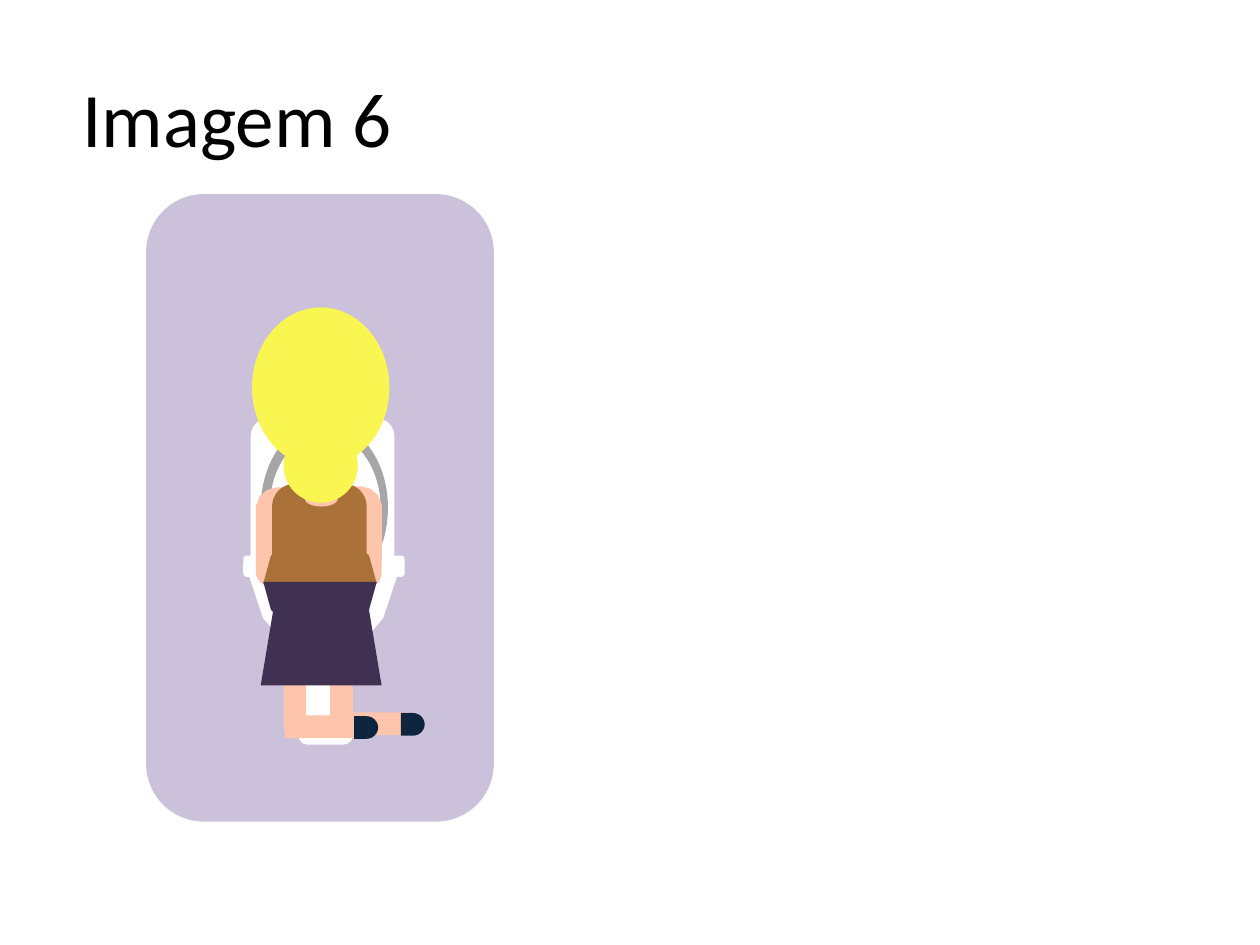
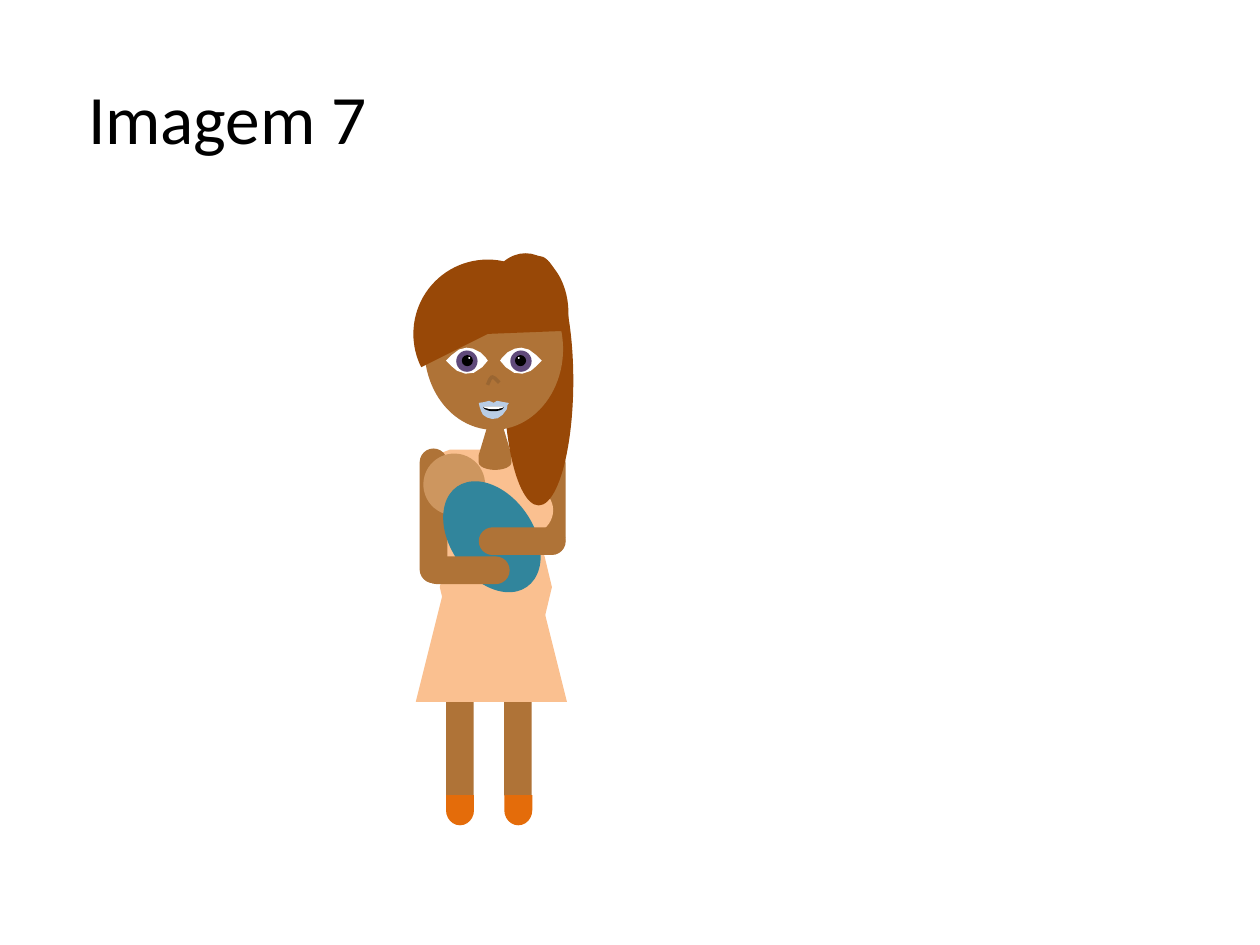
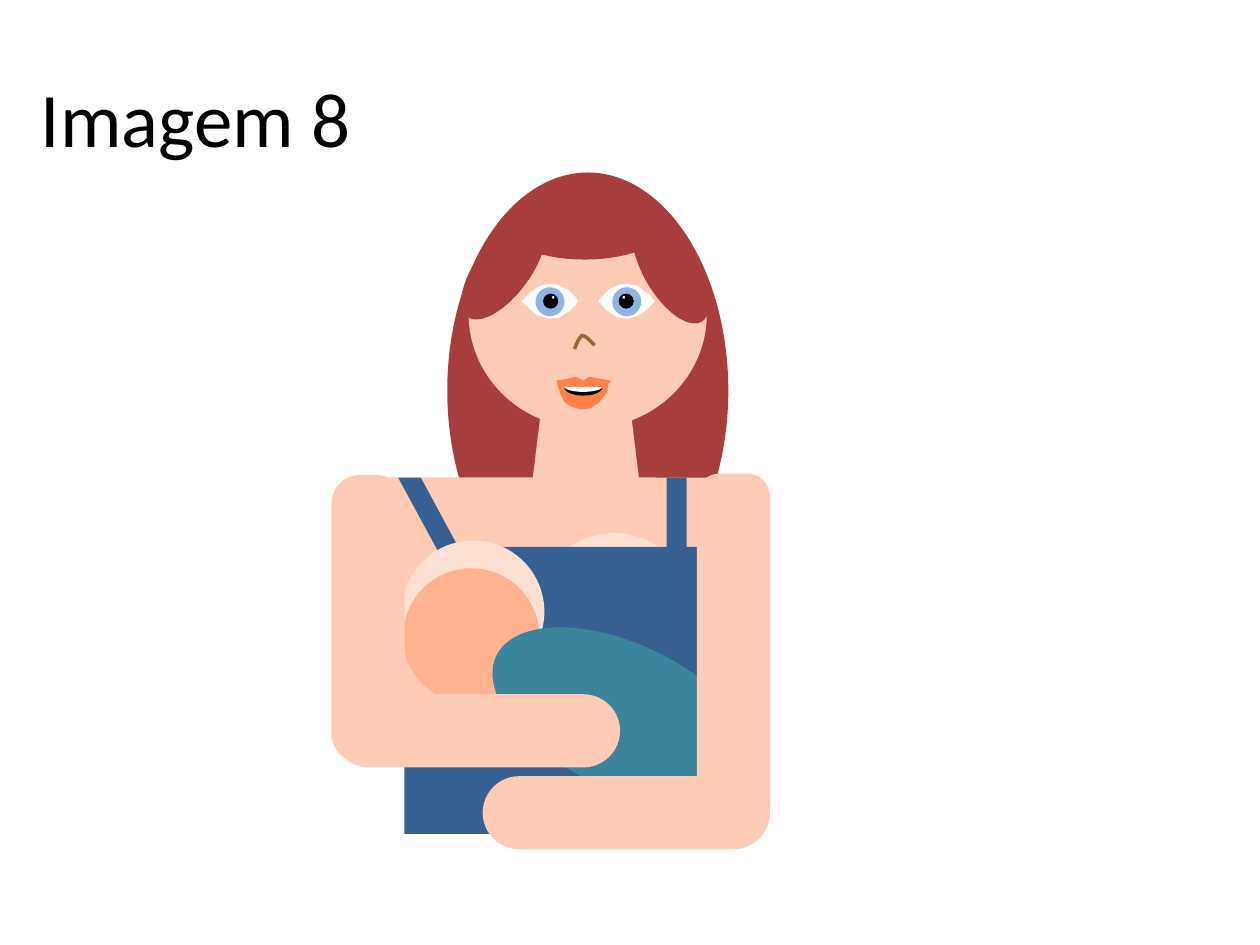
import math
from pptx import Presentation
from pptx.dml.color import RGBColor
from pptx.enum import shapes, text
from pptx.util import Pt

KIND = shapes.MSO_SHAPE
FONT = "Calibri"
HEX = {
    "black": "000000", "white": "FFFFFF", "lilac": "CCC1DA", "gray": "A6A6A6",
    "pink": "FEC5AC", "plum": "403152", "tan": "AA7138", "blond": "F9F551",
    "navy": "0F243E", "peach": "FAC090", "brown": "AF7337", "auburn": "984807",
    "violet": "604A7B", "nose": "9A6632", "pale": "B9CDE5", "blue": "376092",
    "orange": "E46C0A", "clay": "CD965F", "teal": "31859C", "red": "A73E3B",
    "rose": "FECBB4", "cream": "FEE0D2", "coral": "FEB290", "sea": "3B859C",
    "sky": "8EB4E3", "lips": "FD8149",
}

# Outlines as corners on a small grid
EYE = [(0, 14), (6, 8), (14, 2), (22, 0), (29, 1), (37, 5), (43, 11), (45, 14),
       (39, 21), (30, 27), (21, 28), (12, 25), (6, 20)]
EYE_W = 45
MOUTH = [(0, 3), (7, 2), (15, 0), (21, 3), (26, 0), (31, 1), (36, 2), (42, 3),
         (43, 3.5), (41, 6), (40, 12), (34, 20), (27, 25), (19, 26), (12, 24),
         (6, 20), (3, 14), (1, 8)]
NOSE = [(0, 11), (3, 4), (6, 0), (10, 2), (16, 8)]
ARM = [(0, 0), (8, 0), (15, 2), (21, 7), (24, 15), (24, 60), (0, 60)]
ARM_W = 24
TORSO = [(23, 0), (89, 0), (105, 6), (112, 22), (112, 73), (75, 73), (75, 96),
         (0, 96), (0, 22), (7, 6)]
STRAP = [(0, 0), (13, 0), (38.2, 46.8), (28.1, 51.8)]


class Artist:
    def __init__(self):
        self.deck = Presentation()
        self.deck.slide_width, self.deck.slide_height = Pt(720), Pt(540)
        self.pen = None

    def color(self, name):
        return RGBColor.from_string(HEX[name])

    def start(self, title, x, w, size):
        slide = self.deck.slides.add_slide(self.deck.slide_layouts[5])
        head = slide.shapes.title
        head.left, head.top, head.width, head.height = Pt(x), Pt(21.6), Pt(w), Pt(90)
        frame = head.text_frame
        frame.text = title
        frame.auto_size = text.MSO_AUTO_SIZE.NONE
        frame.vertical_anchor = text.MSO_ANCHOR.MIDDLE
        para = frame.paragraphs[0]
        para.alignment = text.PP_ALIGN.CENTER
        para.font.name, para.font.size = FONT, Pt(size)
        para.font.color.rgb = self.color("black")
        self.pen = slide.shapes.add_group_shape().shapes

    def paint(self, item, color):
        item.shadow.inherit = False
        item.fill.solid()
        item.fill.fore_color.rgb = self.color(color)
        item.line.fill.background()

    # Preset shapes
    def shape(self, kind, color, x, y, w, h, rot=0, adj=()):
        item = self.pen.add_shape(kind, Pt(x), Pt(y), Pt(w), Pt(h))
        item.rotation = rot
        for i, val in enumerate(adj):
            item.adjustments[i] = val
        self.paint(item, color)

    def oval(self, color, x, y, w, h, rot=0):
        self.shape(KIND.OVAL, color, x, y, w, h, rot)

    def rect(self, color, x, y, w, h, rot=0):
        self.shape(KIND.RECTANGLE, color, x, y, w, h, rot)

    def round(self, color, x, y, w, h, adj=0.5, rot=0):
        self.shape(KIND.ROUNDED_RECTANGLE, color, x, y, w, h, rot, [adj])

    def trap(self, color, x, y, w, h, adj):
        self.shape(KIND.TRAPEZOID, color, x, y, w, h, adj=[adj])

    def stub(self, color, x, y, w, h, rot=0):
        self.shape(KIND.FLOWCHART_DELAY, color, x, y, w, h, rot)

    def pie(self, color, x, y, w, h, rot=0, first=0, last=180):
        # Angles in degrees; the stored unit is 0.6 to the degree
        self.shape(KIND.PIE, color, x, y, w, h, rot, [first * 0.6, last * 0.6])

    # Free outlines
    def trace(self, pts, close=True):
        pts = [(Pt(x), Pt(y)) for x, y in pts]
        form = self.pen.build_freeform(*pts[0])
        form.add_line_segments(pts[1:], close=close)
        return form.convert_to_shape()

    def draw(self, color, marks, x, y, k, flip=0):
        """Fill an outline scaled by k; flip is the width to mirror in."""
        pts = [(x + k * (flip - a if flip else a), y + k * b) for a, b in marks]
        self.paint(self.trace(pts), color)

    def dome(self, color, x, y, w, h, down=False, cut=0):
        """Half an oval, with its flat side trimmed by cut degrees."""
        pts = []
        base = math.radians(cut)
        sides = 6
        for i in range(sides + 1):
            turn = base + (math.pi - 2 * base) * i / sides
            rise = (math.sin(turn) - math.sin(base)) / (1 - math.sin(base))
            pts.append((x + w / 2 * (1 + math.cos(turn) / math.cos(base)),
                        y + h * (rise if down else 1 - rise)))
        self.paint(self.trace(pts), color)

    # Face parts
    def eyes(self, left, right, y, k, iris):
        for x, flip in ((left, 0), (right, EYE_W)):
            self.draw("white", EYE, x, y, k, flip)
            for color, a, b, d in ((iris, 11, 3, 23), ("black", 17, 8, 12), ("white", 24, 10, 2)):
                a = flip - a - d if flip else a
                self.oval(color, x + k * a, y + k * b, k * d, k * d)

    def nose(self, x, y, k):
        item = self.trace([(x + k * a, y + k * b) for a, b in NOSE], close=False)
        item.shadow.inherit = False
        item.fill.background()
        item.line.color.rgb = self.color("nose")
        item.line.width = Pt(2)

    def mouth(self, x, y, k, lips):
        self.draw(lips, MOUTH, x, y, k)
        for color, b, h in (("black", 2, 13), ("white", 4, 8)):
            self.pie(color, x + 6 * k, y + b * k, 30 * k, h * k)


def kneeling(art):
    art.start("Imagem 6", 36, 199.4, 44)
    # Panel and toilet
    art.round("lilac", 83.5, 110.9, 198.7, 358.6, 0.167)
    art.round("white", 143.3, 239, 82.1, 101.5, 0.123)
    art.round("white", 170.6, 335.5, 31, 90, 0.167)
    art.oval("gray", 149, 241.2, 72.7, 97.9)
    art.oval("white", 154.1, 247.7, 63.4, 85.7)
    art.dome("white", 141.8, 327.6, 85.7, 49.7, down=True, cut=13)
    art.round("white", 139, 317.5, 92.2, 12.2, 0.167)
    # Hands, thighs and arms
    art.stub("pink", 202.3, 319.7, 15.8, 15.8, 90)
    art.stub("pink", 146.2, 319, 15.8, 15.8, 90)
    for x in (188.6, 162):
        art.rect("pink", x, 362.2, 13, 54.7)
    art.draw("pink", ARM, 200.9, 277.9, 0.72)
    art.draw("pink", ARM, 146.2, 278.6, 0.72, ARM_W)
    # Clothes and head
    art.trap("plum", 149, 323.3, 69.1, 68.4, 0.167)
    art.shape(KIND.ROUND_2_SAME_RECTANGLE, "tan", 155.5, 276.5, 54, 72.7, adj=[0.237, 0])
    art.trap("pink", 174.2, 256.3, 18.7, 24.5, 0.406)
    art.oval("blond", 144, 175.7, 78.5, 91.4)
    art.stub("pink", 179.3, 275.8, 8.6, 18.7, 90)
    art.dome("tan", 150.5, 301.7, 64.8, 31.7)
    art.dome("plum", 150.5, 332.6, 64.8, 31.7, down=True)
    # Calves with shoes, then the bun
    for x, y in ((205.2, 391.2), (178.6, 393)):
        art.rect("pink", x, y, 13, 44.6, 270)
        art.stub("navy", x + 23.8, y + 16.2, 13.7, 13)
    art.oval("blond", 162, 244.8, 42.5, 42.5)


def standing(art):
    art.start("Imagem 7", 36, 187.9, 39.6)
    # Body and back hair
    art.draw("peach", TORSO, 240.5, 257, 0.72)
    art.round("brown", 307.4, 256.3, 15.8, 59)
    art.oval("auburn", 275.8, 144.7, 49, 68.4)
    art.oval("peach", 280.8, 276.5, 35.3, 30.2)
    for x in (288, 254.9):
        art.rect("brown", x, 363.6, 15.8, 91)
    art.trap("peach", 237.6, 315.4, 86.4, 85.7, 0.25)
    art.trap("brown", 273.6, 234.7, 18.7, 25.2, 0.406)
    art.stub("brown", 278.6, 254.9, 8.6, 18.7, 90)
    # Head
    art.oval("auburn", 288, 146.2, 39.6, 142.6)
    art.oval("brown", 242.6, 153.4, 79.2, 92.2)
    art.pie("auburn", 236.2, 148.3, 85, 85, 90, 63.42, 267.75)
    art.eyes(254.9, 285.8, 198.7, 0.53, "violet")
    art.nose(278.6, 215.3, 0.42)
    art.mouth(273.6, 229, 0.4, "pale")
    # Hips and shoes
    art.dome("peach", 251.3, 299.5, 64.1, 36)
    art.dome("peach", 251.3, 335.5, 64.1, 36, down=True)
    art.oval("blue", 244.8, 275.8, 35.3, 30.2)
    for x in (254.2, 287.5):
        art.stub("orange", x, 455, 17.3, 16, 90)
    # Baby between the arms
    art.round("brown", 239.8, 256.3, 15.8, 77)
    art.oval("clay", 241.9, 259.2, 35.3, 35.3, 55.2)
    art.oval("teal", 246.2, 283, 69.8, 47.5, 55.2)
    art.round("brown", 258.5, 301, 15.8, 49.7, rot=270)
    art.round("brown", 290.5, 284.4, 15.8, 49.7, rot=90)


def nursing(art):
    art.start("Imagem 8", 12.2, 199.4, 44)
    # Back hair, neck and chest
    art.oval("red", 255.6, 98.6, 160.6, 249.1)
    art.trap("rose", 298.8, 223.2, 72, 95.8, 0.164)
    art.round("rose", 210.2, 272.9, 217.4, 154.1, 0.084)
    art.draw("blue", STRAP, 227.5, 272.9, 1)
    art.rect("blue", 231.1, 436.3, 183.6, 40.3)
    # Face and fringe
    art.oval("rose", 267.8, 114.5, 136.1, 130.3)
    art.oval("red", 287.3, 108.7, 93.6, 39.6)
    art.oval("red", 272.2, 118.8, 31, 69.1, 36.6)
    # Dress and baby
    art.rect("blue", 380.9, 272.9, 11.5, 39.6)
    art.oval("cream", 307.4, 304.6, 87.1, 85)
    art.rect("blue", 280.8, 312.5, 123.8, 133.2)
    art.oval("cream", 229.7, 308.9, 81.4, 81.4)
    art.oval("coral", 230.4, 324.7, 77.8, 77.8)
    art.oval("sea", 275.8, 367.9, 160.6, 82.8, 25.4)
    # Arms
    art.round("rose", 189.4, 271.4, 41.8, 164.2, 0.392)
    art.round("rose", 251.3, 335.5, 41.8, 164.2, rot=90)
    art.round("rose", 398.2, 270.7, 41.8, 204.5, 0.307)
    art.round("rose", 337, 382.3, 41.8, 164.2, rot=270)
    # Right lock and features
    art.oval("red", 367.9, 119.5, 31, 69.1, 329.4)
    art.eyes(298.1, 342, 162, 0.72, "sky")
    art.nose(328.3, 191.5, 0.72)
    art.mouth(318.2, 215.3, 0.72, "lips")


def main():
    art = Artist()
    for scene in (kneeling, standing, nursing):
        scene(art)
    art.deck.save("out.pptx")


if __name__ == "__main__":
    main()
